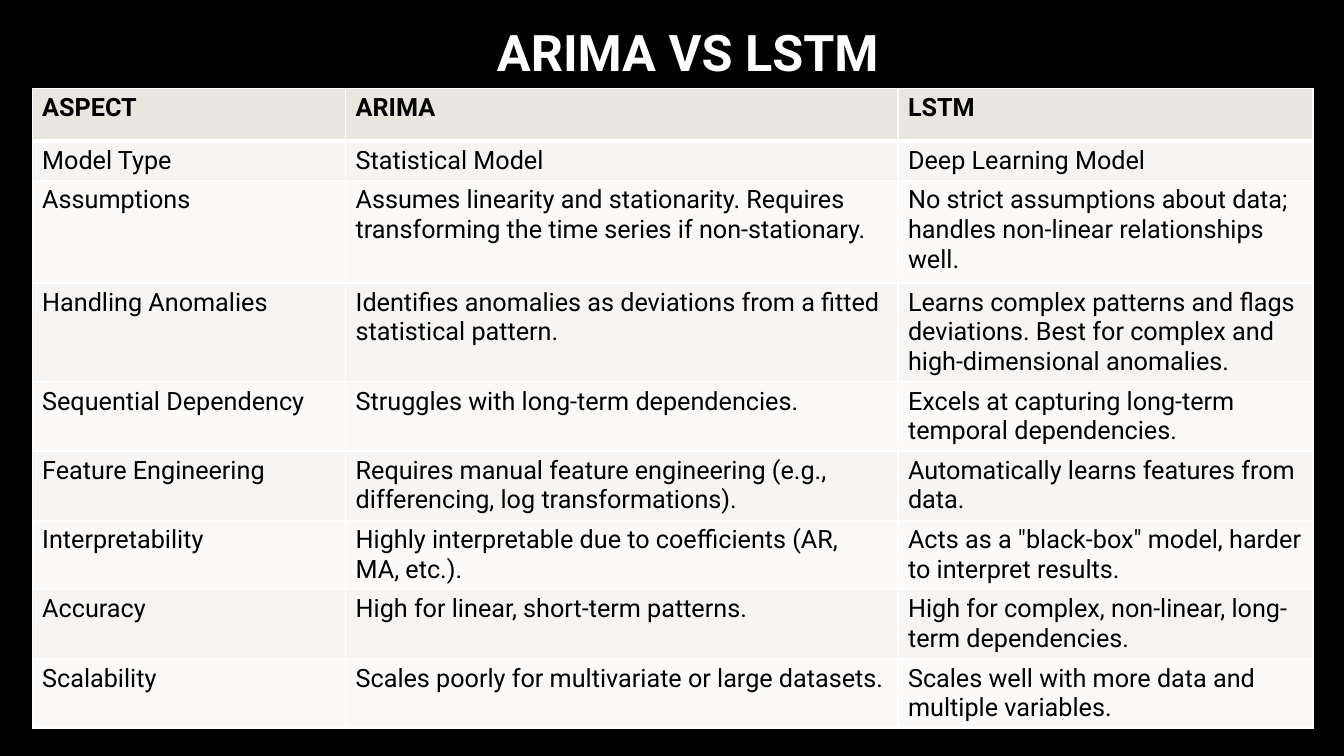
import dataclasses

import pptx
import pptx.dml.color
import pptx.enum.text
import pptx.oxml
import pptx.oxml.ns
import pptx.slide
import pptx.table
import pptx.util

Cm = pptx.util.Cm
Pt = pptx.util.Pt

BLACK, WHITE = "000000", "FFFFFF"
HEADER_FILL = "E9E6DF"
BAND_FILLS = ("FBFAF9", "F7F5F3")
COLUMN_WIDTHS = (7.9, 13.92, 10.46)


@dataclasses.dataclass
class Comparison:
    aspect: str
    arima: str
    lstm: str
    height: float = 1.74


COMPARISONS = [
    Comparison("ASPECT", "ARIMA", "LSTM", 1.32),
    Comparison("Model Type", "Statistical Model", "Deep Learning Model", 1.0),
    Comparison("Assumptions",
               "Assumes linearity and stationarity. Requires transforming the time series if non-stationary.",
               "No strict assumptions about data; handles non-linear relationships well.", 2.58),
    Comparison("Handling Anomalies",
               "Identifies anomalies as deviations from a fitted statistical pattern.",
               "Learns complex patterns and flags deviations. Best for complex and high-dimensional anomalies.", 2.49),
    Comparison("Sequential Dependency",
               "Struggles with long-term dependencies.",
               "Excels at capturing long-term temporal dependencies."),
    Comparison("Feature Engineering",
               "Requires manual feature engineering (e.g., differencing, log transformations).",
               "Automatically learns features from data."),
    Comparison("Interpretability",
               "Highly interpretable due to coefficients (AR, MA, etc.).",
               'Acts as a "black-box" model, harder to interpret results.'),
    Comparison("Accuracy",
               "High for linear, short-term patterns.",
               "High for complex, non-linear, long-term dependencies."),
    Comparison("Scalability",
               "Scales poorly for multivariate or large datasets.",
               "Scales well with more data and multiple variables."),
]


def colour(hex_value: str) -> pptx.dml.color.RGBColor:
    return pptx.dml.color.RGBColor.from_string(hex_value)


def apply_format(target: object, values: dict) -> None:
    for attribute, value in values.items():
        setattr(target, attribute, value)


def write(frame: pptx.text.text.TextFrame, text: str, size: float, bold: bool, ink: str) -> None:
    frame.text = text
    font = frame.paragraphs[0].runs[0].font
    apply_format(font, {"name": "Roboto", "size": Pt(size), "bold": bold})
    font.color.rgb = colour(ink)


def set_borders(cell: pptx.table._Cell, top: float, bottom: float) -> None:
    """Give the cell white borders, with widths in points."""
    properties = cell._tc.get_or_add_tcPr()
    widths = {"lnL": 1, "lnR": 1, "lnT": top, "lnB": bottom}
    for position, (side, width) in enumerate(widths.items()):
        border = pptx.oxml.parse_xml(
            f'<a:{side} {pptx.oxml.ns.nsdecls("a")} w="{Pt(width)}">'
            f'<a:solidFill><a:srgbClr val="{WHITE}"/></a:solidFill></a:{side}>')
        properties.insert(position, border)


def add_heading(slide: pptx.slide.Slide) -> None:
    heading = slide.shapes.title
    apply_format(heading, {"left": Cm(12.27), "top": Cm(0.66),
                           "width": Cm(13.03), "height": Cm(1.55)})
    apply_format(heading.text_frame, {
        "word_wrap": True,
        "auto_size": pptx.enum.text.MSO_AUTO_SIZE.NONE,
        "vertical_anchor": pptx.enum.text.MSO_ANCHOR.BOTTOM})
    write(heading.text_frame, "ARIMA VS LSTM", 36, True, WHITE)
    apply_format(heading.text_frame.paragraphs[0], {
        "alignment": pptx.enum.text.PP_ALIGN.LEFT, "line_spacing": 0.9})


def add_comparison_table(slide: pptx.slide.Slide) -> None:
    total_height = sum(comparison.height for comparison in COMPARISONS)
    table = slide.shapes.add_table(
        len(COMPARISONS), len(COLUMN_WIDTHS), Cm(0.81), Cm(2.23),
        Cm(sum(COLUMN_WIDTHS)), Cm(total_height)).table
    for column, width in zip(table.columns, COLUMN_WIDTHS):
        column.width = Cm(width)

    for index, comparison in enumerate(COMPARISONS):
        table.rows[index].height = Cm(comparison.height)
        is_header = index == 0
        fill = HEADER_FILL if is_header else BAND_FILLS[index % 2]
        texts = (comparison.aspect, comparison.arima, comparison.lstm)
        for cell, text in zip(table.rows[index].cells, texts):
            write(cell.text_frame, text, 18, is_header, BLACK)
            cell.fill.solid()
            cell.fill.fore_color.rgb = colour(fill)
            set_borders(cell, top=3 if index == 1 else 1, bottom=3 if is_header else 1)


def main() -> None:
    presentation = pptx.Presentation()
    apply_format(presentation, {"slide_width": Cm(33.87), "slide_height": Cm(19.05)})
    slide = presentation.slides.add_slide(presentation.slide_layouts[5])

    # Black background
    slide.background.fill.solid()
    slide.background.fill.fore_color.rgb = colour(BLACK)

    # Heading and table
    add_heading(slide)
    add_comparison_table(slide)
    presentation.save("out.pptx")


if __name__ == "__main__":
    main()
